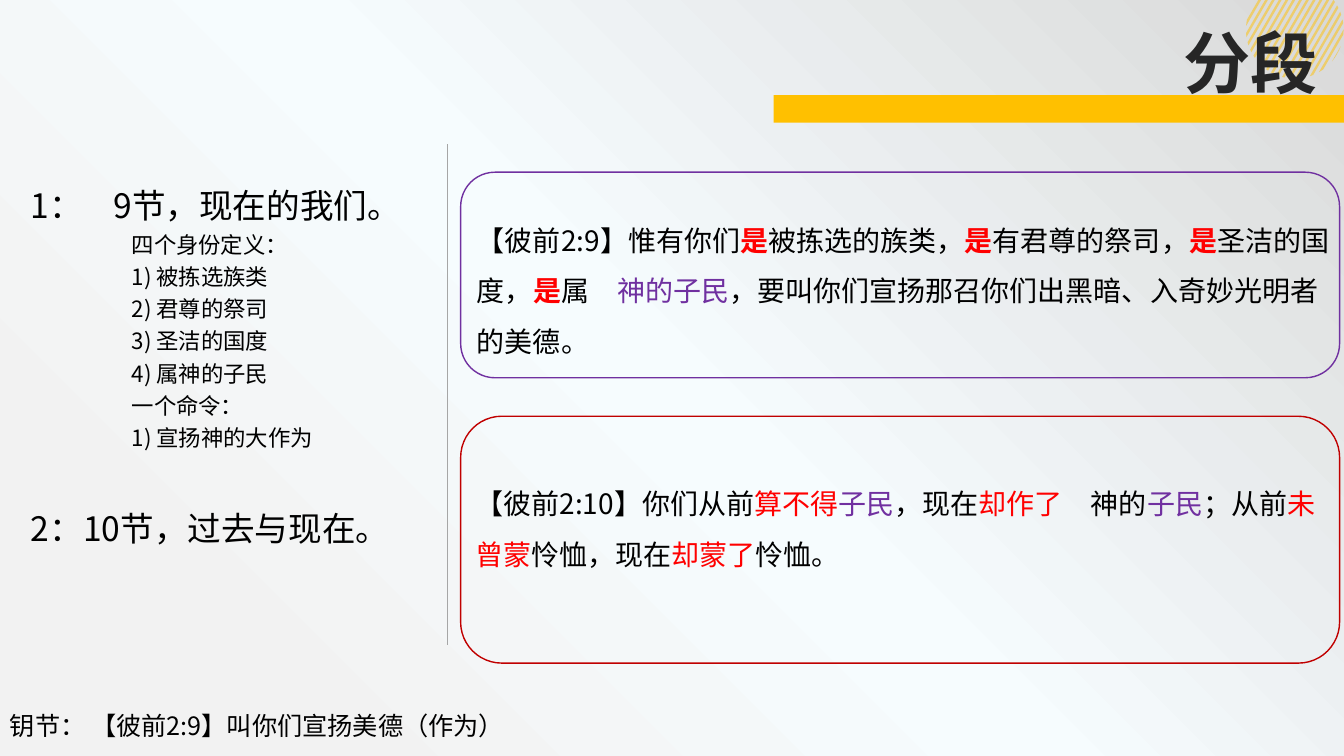
from math import sqrt

from lxml.etree import SubElement
from pptx import Presentation
from pptx.dml.color import RGBColor
from pptx.enum.shapes import MSO_CONNECTOR, MSO_SHAPE
from pptx.enum.text import MSO_ANCHOR, MSO_AUTO_SIZE, PP_ALIGN
from pptx.oxml import parse_xml
from pptx.oxml.ns import qn
from pptx.util import Cm, Pt

GOLD, PURPLE, RED, BLACK = "FFC000", "7030A0", "FF0000", "000000"
BACKDROP = (
    '<a:gradFill xmlns:a="http://schemas.openxmlformats.org/drawingml/2006/main" rotWithShape="1"><a:gsLst>'
    '<a:gs pos="15000"><a:srgbClr val="F2F2F2"/></a:gs>'
    '<a:gs pos="50000"><a:srgbClr val="F6FCFE"><a:alpha val="27000"/></a:srgbClr></a:gs>'
    '<a:gs pos="100000"><a:srgbClr val="D9D9D9"/></a:gs></a:gsLst>'
    '<a:path path="circle"><a:fillToRect t="100000" r="100000"/></a:path></a:gradFill>')


def rgb(value):
    return RGBColor.from_string(value)


def apply(target, values):
    for name, value in values.items():
        setattr(target, name, value)


class SlideBuilder:
    font_name = "Noto Sans CJK SC"

    def __init__(self, slide):
        self.slide = slide

    def backdrop(self):
        fill = self.slide.background.fill
        fill.gradient()
        gradient = next(self.slide.element.iter(qn("a:gradFill")))
        gradient.getparent().replace(gradient, parse_xml(BACKDROP))

    def place(self, shape, box):
        apply(shape, dict(zip(("left", "top", "width", "height"), map(Cm, box))))

    def run(self, paragraph, text, size, colour=BLACK, bold=False):
        run = paragraph.add_run()
        run.text = text
        apply(run.font, {"name": self.font_name, "size": Pt(size), "bold": bold})
        run.font.color.rgb = rgb(colour)
        SubElement(run.font._element, qn("a:ea"), typeface=self.font_name)

    def paragraph(self, frame, segments, size, first=False, indent=0, tab=0, **format_values):
        paragraph = frame.paragraphs[0] if first else frame.add_paragraph()
        apply(paragraph, {"alignment": PP_ALIGN.LEFT, **format_values})
        properties = paragraph._p.get_or_add_pPr()
        if indent:
            properties.set("marL", str(Cm(indent)))
        if tab:
            SubElement(SubElement(properties, qn("a:tabLst")), qn("a:tab"), pos=str(Cm(tab)), algn="l")
        for segment in segments:
            self.run(paragraph, segment[0], size, *segment[1:])

    def title(self, text, box):
        title = self.slide.shapes.title
        self.place(title, box)
        apply(title.text_frame, {"word_wrap": True, "vertical_anchor": MSO_ANCHOR.TOP,
                                 "auto_size": MSO_AUTO_SIZE.NONE})
        self.paragraph(title.text_frame, [(text, "262626", True)], 48, first=True)
        title.element.getparent().append(title.element)  # in front of the stripes

    def text_box(self, box, inset=None, **format_values):
        frame = self.slide.shapes.add_textbox(*map(Cm, box)).text_frame
        apply(frame, {"word_wrap": True, **format_values})
        if inset:
            sides = ("left", "top", "right", "bottom")
            apply(frame, {f"margin_{side}": Cm(inset) for side in sides})
        return frame

    def bar(self, box, colour):
        bar = self.slide.shapes.add_shape(MSO_SHAPE.RECTANGLE, *map(Cm, box))
        bar.shadow.inherit = False
        bar.fill.solid()
        bar.fill.fore_color.rgb = rgb(colour)
        bar.line.fill.background()

    def verse(self, frame_box, text_area, inset, colour, segments):
        frame = self.slide.shapes.add_shape(MSO_SHAPE.ROUNDED_RECTANGLE, *map(Cm, frame_box))
        frame.shadow.inherit = False
        frame.fill.background()
        frame.line.color.rgb = rgb(colour)
        frame.line.width = Pt(1)
        text = self.text_box(text_area, inset, vertical_anchor=MSO_ANCHOR.MIDDLE)
        self.paragraph(text, segments, 20, first=True, line_spacing=1.5)

    def divider(self, x, top, bottom):
        divider = self.slide.shapes.add_connector(
            MSO_CONNECTOR.STRAIGHT, *map(Cm, (x, top, x, bottom)))
        divider.line.color.rgb = rgb("A6A6A6")
        divider.line.width = Pt(0.5)
        SubElement(divider._element.spPr, qn("a:effectLst"))

    def striped_disc(self, centre_x, centre_y, radius, count, first, last, thickness):
        """Slanted stripes at 60 degrees, clipped by a disc and the slide's top edge."""
        group = self.slide.shapes.add_group_shape()
        rise = sqrt(3) / 2
        for index in range(count):
            start = first + (last - first) * index / (count - 1)
            upper, lower = [], []
            for step in range(5):
                offset = min(start + thickness * step / 4, radius)
                half = sqrt(radius ** 2 - offset ** 2)
                ceiling = -(centre_y + offset / 2) / rise
                for edge, along in ((upper, max(-half, ceiling)), (lower, half)):
                    edge.append((Cm(centre_x + offset * rise - along / 2),
                                 Cm(centre_y + offset / 2 + along * rise)))
            outline = upper + lower[::-1]
            builder = group.shapes.build_freeform(*outline[0])
            builder.add_line_segments(outline[1:], close=True)
            stripe = builder.convert_to_shape()
            stripe.shadow.inherit = False
            stripe.fill.solid()
            stripe.fill.fore_color.rgb = rgb(GOLD)
            colour = next(stripe._element.spPr.iter(qn("a:srgbClr")))
            SubElement(colour, qn("a:alpha"), val="50000")
            stripe.line.fill.background()


def main():
    presentation = Presentation()
    apply(presentation, {"slide_width": Cm(33.87), "slide_height": Cm(19.05)})
    page = SlideBuilder(presentation.slides.add_slide(presentation.slide_layouts[5]))

    # Backdrop and heading
    page.backdrop()
    page.striped_disc(32.63, 0.75, 1.23, count=17, first=-1.17, last=1.21, thickness=0.06)
    page.bar((19.5, 2.4, 14.37, 0.69), GOLD)
    page.title("分段", (29.57, 0.41, 4.29, 2.31))

    # Outline on the left
    outline = page.text_box((0.53, 4.34, 11.3, 9.63))
    page.paragraph(outline, [("1：\t9节，现在的我们。",)], 24, first=True, tab=2.08, line_spacing=1.2)
    for point in ("四个身份定义：", "1) 被拣选族类", "2) 君尊的祭司", "3) 圣洁的国度",
                  "4) 属神的子民", "一个命令：", "1) 宣扬神的大作为"):
        page.paragraph(outline, [(point,)], 16, indent=2.54, line_spacing=1.2)
    page.paragraph(outline, [("2：10节，过去与现在。",)], 24, line_spacing=1.2, space_before=Pt(35))
    page.divider(11.28, 3.63, 16.26)

    # Verses on the right
    emphasis = ("是", RED, True)
    page.verse((11.61, 4.34, 22.15, 5.18), (11.84, 5.21, 22.15, 3.81), 0.18, PURPLE, [
        ("【彼前2:9】惟有你们",), emphasis, ("被拣选的族类，",), emphasis,
        ("有君尊的祭司，",), emphasis, ("圣洁的国度，",), emphasis, ("属　",),
        ("神的子民", PURPLE), ("，要叫你们宣扬那召你们出黑暗、入奇妙光明者的美德。",)])
    page.verse((11.61, 10.49, 22.15, 6.22), (11.73, 11.68, 21.92, 2.87), 0.25, "C00000", [
        ("【彼前2:10】你们从前",), ("算不得", RED), ("子民", PURPLE), ("，现在",),
        ("却作了", RED), ("　神的",), ("子民", PURPLE), ("；从前",),
        ("未曾蒙", RED), ("怜恤，现在",), ("却蒙了", RED), ("怜恤。",)])

    # Key verse
    key_verse = page.text_box((0, 17.78, 33.63, 1.02))
    page.paragraph(key_verse, [("钥节： 【彼前2:9】叫你们宣扬美德（作为）",)], 18, first=True)

    presentation.save("out.pptx")


if __name__ == "__main__":
    main()
